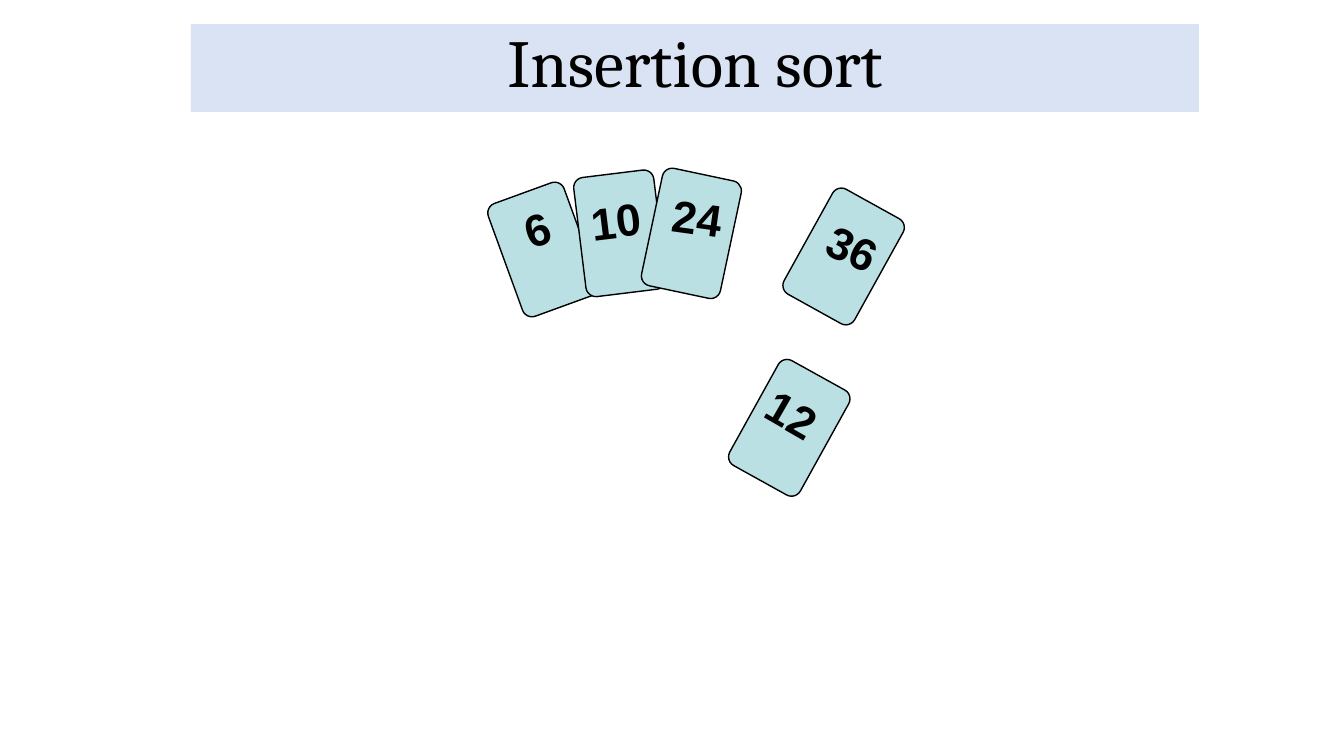
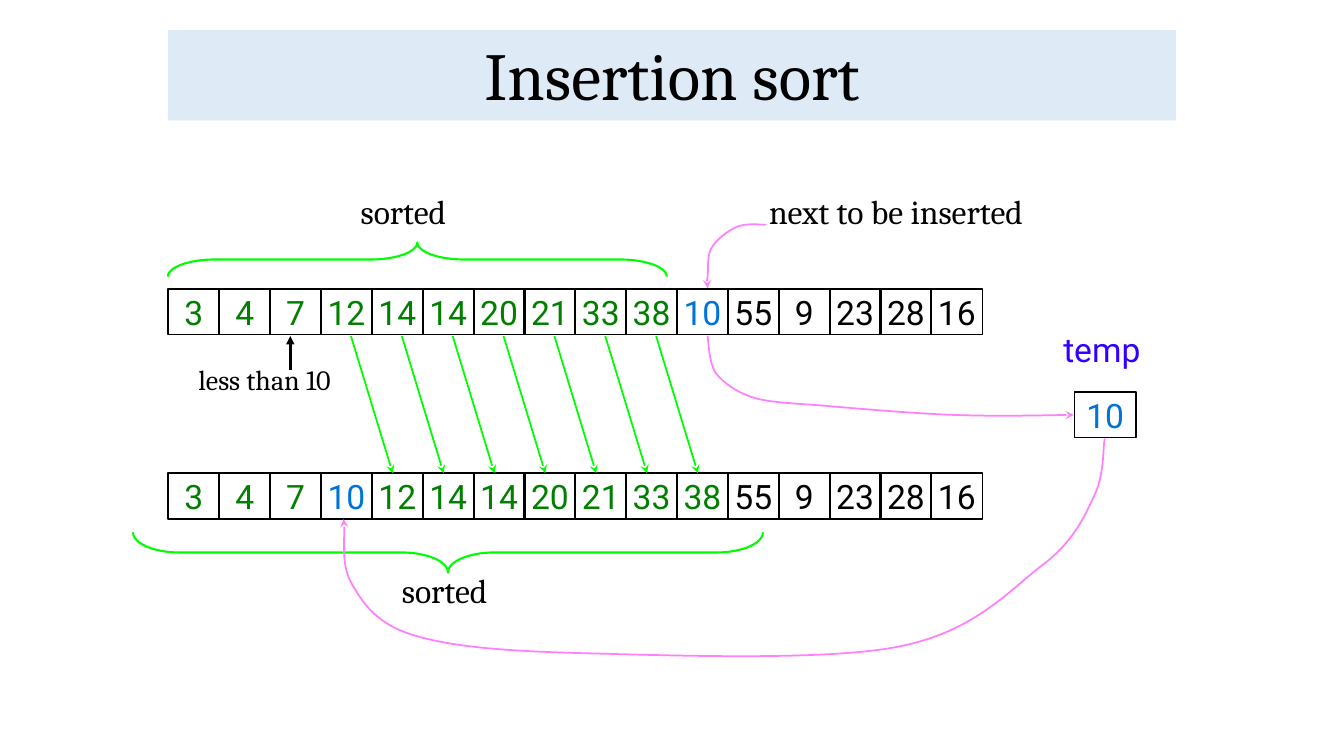
from lxml import etree
from pptx import Presentation
from pptx.dml.color import RGBColor
from pptx.enum.shapes import MSO_CONNECTOR, MSO_SHAPE
from pptx.enum.text import MSO_ANCHOR, MSO_AUTO_SIZE, PP_ALIGN
from pptx.oxml.ns import qn
from pptx.util import Pt

RECT, CARD, BRACE = MSO_SHAPE.RECTANGLE, MSO_SHAPE.ROUNDED_RECTANGLE, MSO_SHAPE.LEFT_BRACE
STRAIGHT = MSO_CONNECTOR.STRAIGHT
TOP, MIDDLE, BOTTOM = MSO_ANCHOR.TOP, MSO_ANCHOR.MIDDLE, MSO_ANCHOR.BOTTOM
LEFT, CENTER = PP_ALIGN.LEFT, PP_ALIGN.CENTER
NO_FIT = MSO_AUTO_SIZE.NONE

BLACK, CARD_FILL = "000000", "BBE0E3"
SORTED, MOVING = "007F00", "0073D9"
GREEN, PINK, VIOLET = "00FD00", "FF7FFF", "3300FF"
SERIF, SANS, CARD_FONT = "Cambria", "Roboto", "Arial"

TITLE = "Insertion sort"

# number, card centre, card angle, number centre, number angle
CARD_W, CARD_H = 57.6, 85.7
CARDS = [
    ("6", (388.1, 178.2), 340, (383.4, 163.1), 341),
    ("10", (442.8, 166.7), 353, (439.9, 157.3), 353),
    ("24", (493.9, 166.7), 12, (498.2, 155.2), 8),
    ("36", (602.6, 183.2), 29, (609.1, 176.8), 25),
    ("12", (563.8, 305.6), 29, (565.9, 295.6), 30),
]

CELL_X, CELL_W, CELL_H, PITCH = 120.2, 36.6, 32.5, 36.33
BEFORE_Y, AFTER_Y = 206.5, 338
BEFORE = [3, 4, 7, 12, 14, 14, 20, 21, 33, 38, 10, 55, 9, 23, 28, 16]
NEXT, SLOT = 10, 3  # index of the value to insert, and where it goes
AFTER = BEFORE[:SLOT] + [BEFORE[NEXT]] + BEFORE[SLOT:NEXT] + BEFORE[NEXT + 1:]
TEMP_BOX = (767.5, 280, 44, CELL_H)

# centre, depth, span, angle, bend
BRACES = [
    ((298.1, 185.4), 24.5, 356.4, 90, 1.36),
    ((320, 394.6), 28.8, 450, 270, 1.15),
]
# text, left, top, width, font, size, colour
LABELS = [
    ("sorted", 250.5, 132.5, 110, SERIF, 24, BLACK),
    ("next to be inserted", 542.2, 132.5, 262, SERIF, 24, BLACK),
    ("temp", 752.4, 231.1, 87, SANS, 24, VIOLET),
    ("sorted", 280, 403.2, 124, SERIF, 24, BLACK),
    ("less than 10", 134.6, 255.6, 138, SERIF, 20, BLACK),
]
# start point, then three Bezier points for each segment
CURVES = [
    [(547.2, 160.6),
     (543.6, 160.6), (533.5, 159.1), (526.3, 162),
     (519.8, 164.9), (511.2, 171.4), (508.3, 177.1),
     (504.7, 182.9), (506.2, 193), (505.4, 198),
     (504.7, 202.3), (504.7, 204.5), (505.4, 205.9)],
    [(505.4, 239.8),
     (506.2, 244.1), (506.2, 258.5), (511.2, 266.4),
     (517, 273.6), (525.6, 280.1), (539.3, 284.4),
     (553, 288), (568.1, 288), (593.3, 290.2),
     (617.8, 292.3), (659.5, 295.9), (687.6, 296.6),
     (715, 297.4), (747.4, 296.6), (767, 296.4)],
    [(789.1, 313.2),
     (787.7, 319.7), (789.1, 339.1), (781.2, 355),
     (774, 370.1), (766.1, 388.1), (742.3, 405.4),
     (719.3, 423.4), (694.1, 452.2), (640.1, 462.2),
     (586.1, 472.3), (475.2, 468), (417.6, 466.6),
     (360.7, 465.1), (324.7, 462.2), (297.4, 454.3),
     (270, 446.4), (260.6, 432.7), (252, 418.3),
     (243.4, 404.6), (247, 380.9), (245.5, 370.8)],
]


def rgb(value):
    return RGBColor.from_string(value)


def set_text(sp, text, font, size, color=BLACK, align=CENTER, anchor=MIDDLE, wrap=False, bold=False):
    tf = sp.text_frame
    tf.text = str(text)
    tf.word_wrap, tf.vertical_anchor, tf.auto_size = wrap, anchor, NO_FIT
    p = tf.paragraphs[0]
    p.alignment = align
    f = p.runs[0].font
    f.name, f.size, f.bold, f.color.rgb = font, Pt(size), bold, rgb(color)
    return p


def set_line(sp, color, width, head=None):
    """Colour the outline; head names the arrowhead at its end."""
    sp.line.color.rgb, sp.line.width = rgb(color), Pt(width)
    if head:
        etree.SubElement(sp.line._get_or_add_ln(), qn("a:tailEnd"), type=head)


def add_shape(slide, kind, box, color=BLACK, width=1.25, fill=None, angle=0):
    sp = slide.shapes.add_shape(kind, *map(Pt, box))
    sp.shadow.inherit = False
    sp.rotation = angle
    if fill:
        sp.fill.solid()
        sp.fill.fore_color.rgb = rgb(fill)
    else:
        sp.fill.background()
    set_line(sp, color, width)
    return sp


def add_text(slide, box, text, font, size, angle=0, **style):
    tb = slide.shapes.add_textbox(*map(Pt, box))
    tb.rotation = angle
    set_text(tb, text, font, size, **style)


def add_arrow(slide, start, end, color, width, head):
    c = slide.shapes.add_connector(STRAIGHT, *map(Pt, start + end))
    set_line(c, color, width, head)
    etree.SubElement(c._element.spPr, qn("a:effectLst"))


def add_curve(slide, points):
    """Draw a freeform whose points are read in threes as Bezier segments."""
    start, *rest = [(Pt(x), Pt(y)) for x, y in points]
    fb = slide.shapes.build_freeform(*start)
    fb.add_line_segments(rest, close=False)
    sp = fb.convert_to_shape()
    sp.shadow.inherit = False
    sp.fill.background()
    set_line(sp, PINK, 1.25, "stealth")
    steps = list(sp._element.iter(qn("a:lnTo")))
    for i in range(0, len(steps), 3):
        first, *others = steps[i:i + 3]
        first.tag = qn("a:cubicBezTo")
        for step in others:
            first.append(step[0])
            step.getparent().remove(step)


def centred(center, w, h):
    return center[0] - w / 2, center[1] - h / 2, w, h


def add_titled_slide(prs, box, fill, anchor):
    slide = prs.slides.add_slide(prs.slide_layouts[5])
    title = slide.shapes.title
    title.left, title.top, title.width, title.height = map(Pt, box)
    title.fill.solid()
    title.fill.fore_color.rgb = rgb(fill)
    set_text(title, TITLE, SERIF, 48, anchor=anchor, wrap=True).line_spacing = 0.9
    return slide


def add_cell(slide, box, value, color):
    set_text(add_shape(slide, RECT, box), value, SANS, 24, color)


def cell_x(i):
    return CELL_X + i * PITCH


def add_array(slide, top, values, moving, sorted_count):
    for i, value in enumerate(values):
        color = MOVING if i == moving else SORTED if i < sorted_count else BLACK
        add_cell(slide, (cell_x(i), top, CELL_W, CELL_H), value, color)


def build_cards(prs):
    slide = add_titled_slide(prs, (136.4, 17.3, 720, 62.6), "DAE3F3", TOP)
    for number, card_at, card_angle, number_at, number_angle in CARDS:
        card = add_shape(slide, CARD, centred(card_at, CARD_W, CARD_H), BLACK, 1, CARD_FILL, card_angle)
        card.adjustments[0] = 0.125
        add_text(slide, centred(number_at, 50, 45.4), number, CARD_FONT, 32, number_angle, bold=True)


def build_array(prs):
    slide = add_titled_slide(prs, (120, 21.6, 720, 64.4), "DEEBF7", BOTTOM)
    add_array(slide, BEFORE_Y, BEFORE, NEXT, NEXT)
    add_array(slide, AFTER_Y, AFTER, SLOT, NEXT + 1)
    add_cell(slide, TEMP_BOX, BEFORE[NEXT], MOVING)
    for center, depth, span, angle, bend in BRACES:
        brace = add_shape(slide, BRACE, centred(center, depth, span), GREEN, 1.5, angle=angle)
        brace.adjustments[0] = bend
    for text, x, y, w, font, size, color in LABELS:
        add_text(slide, (x, y, w, 45), text, font, size,
                 color=color, align=LEFT, anchor=TOP, wrap=True)
    below = BEFORE_Y + CELL_H + 1
    for i in range(SLOT, NEXT):
        add_arrow(slide, (cell_x(i) + 21.5, below), (cell_x(i + 1) + 15, AFTER_Y),
                  GREEN, 1.25, "stealth")
    pointer_x = cell_x(SLOT - 1) + 14.5
    add_arrow(slide, (pointer_x, 264.2), (pointer_x, below), BLACK, 1.75, "triangle")
    for points in CURVES:
        add_curve(slide, points)


def main():
    prs = Presentation()
    prs.slide_width, prs.slide_height = Pt(960), Pt(540)
    build_cards(prs)
    build_array(prs)
    prs.save("out.pptx")


if __name__ == "__main__":
    main()
